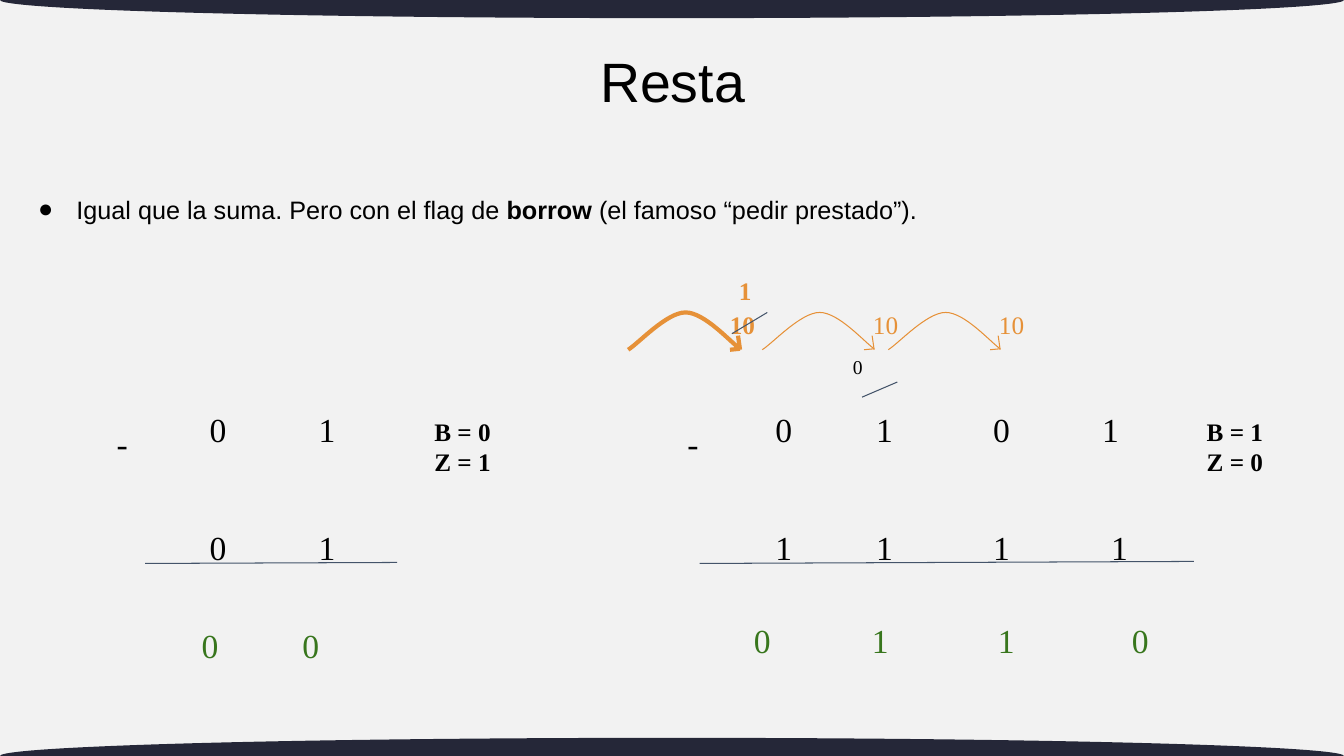
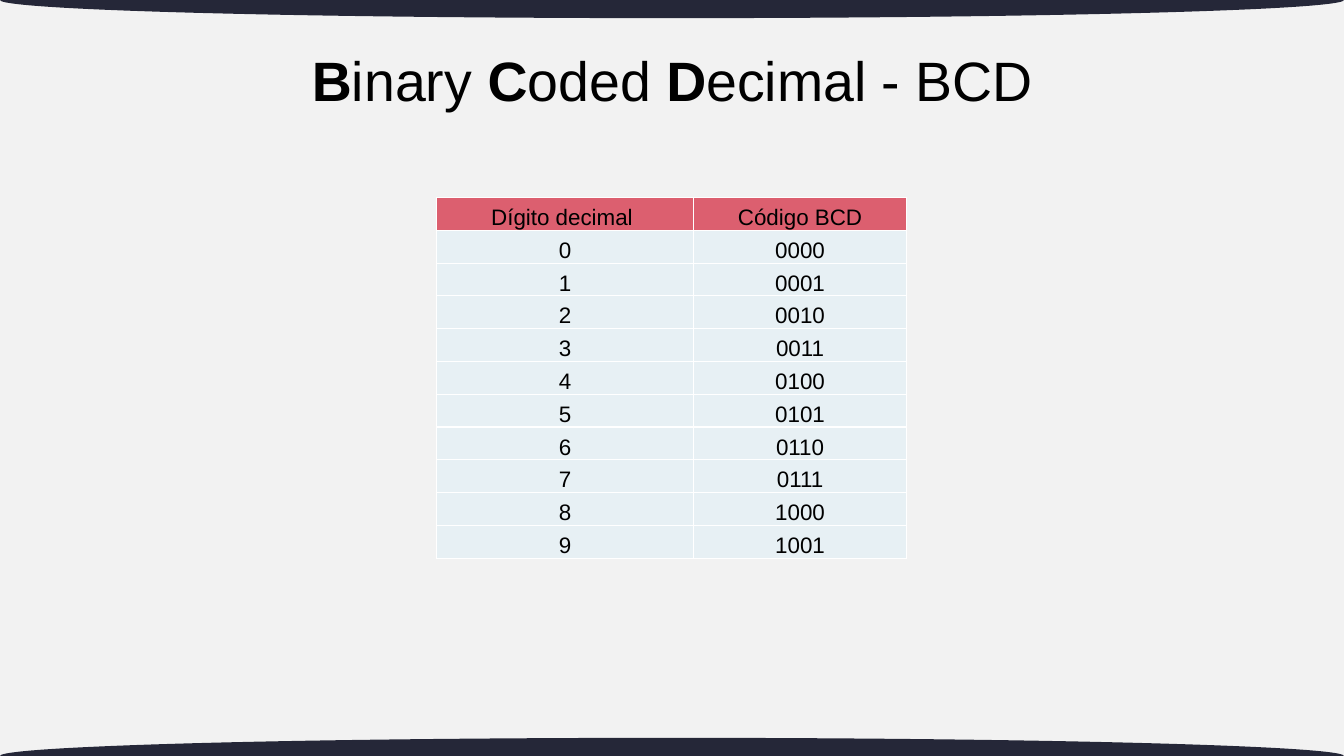
from lxml import etree
from pptx import Presentation
from pptx.dml.color import RGBColor
from pptx.enum import shapes, text
from pptx.oxml import ns
from pptx.util import Inches, Pt

COLORS = {
    "background": "F2F2F2", "band": "252738", "text": "000000",
    "rule": "44546A", "borrow": "E69138", "result": "38761D",
    "header": "DC5F6F", "row": "E7F0F4", "border": "FFFFFF",
}
SANS, SERIF = "Arial", "Times New Roman"
WIDTH, HEIGHT = 13.33, 7.5
CENTER = text.PP_ALIGN.CENTER

# Arch of a borrow arrow: start point and two Bezier pieces
ARCH_START = (0, 0.37)
ARCH_CURVES = [
    [(0.1, 0.31), (0.38, 0), (0.57, 0)],
    [(0.76, 0), (1.02, 0.3), (1.11, 0.36)],
]
ARROW_HEAD = [((1.09, 0.23), (1.11, 0.37)), ((1.01, 0.37), (1.11, 0.36))]


def rgb(name):
    return RGBColor.from_string(COLORS[name])


def sub_element(parent, tag, **attributes):
    return etree.SubElement(parent, ns.qn(tag), attributes)


# Text
def add_run(paragraph, content, size, font=SERIF, color="text", bold=False):
    run = paragraph.add_run()
    run.text = content
    run.font.size = Pt(size)
    run.font.name = font
    run.font.bold = bold
    run.font.color.rgb = rgb(color)


def add_frame(parent, box, inset_y=0.1):
    shape = parent.shapes.add_textbox(*map(Inches, box))
    frame = shape.text_frame
    frame.word_wrap = True
    frame.margin_left = frame.margin_right = Inches(0.1)
    frame.margin_top = frame.margin_bottom = Inches(inset_y)
    return frame


def add_label(parent, box, lines, size, color="text", bold=False,
              align=None, spacing=None):
    frame = add_frame(parent, box)
    for index, line in enumerate(lines):
        paragraph = frame.add_paragraph() if index else frame.paragraphs[0]
        paragraph.alignment = align
        paragraph.line_spacing = spacing
        add_run(paragraph, line, size, color=color, bold=bold)


def add_heading(slide, box, runs, size, align=None, spacing=0.9):
    frame = add_frame(slide, box, inset_y=0.05)
    frame.vertical_anchor = text.MSO_ANCHOR.MIDDLE
    paragraph = frame.paragraphs[0]
    paragraph.alignment = align
    paragraph.line_spacing = spacing
    for content, bold in runs:
        add_run(paragraph, content, size, SANS, bold=bold)
    return paragraph


def add_title(slide, box, runs):
    add_heading(slide, box, runs, 39.6, CENTER)


def add_bullet(slide, box, runs):
    paragraph = add_heading(slide, box, runs, 18, spacing=1.5)
    properties = paragraph._p.get_or_add_pPr()
    properties.set("marL", str(Inches(0.5)))
    properties.set("indent", str(Inches(-0.38)))
    bullet_color = sub_element(properties, "a:buClr")
    sub_element(bullet_color, "a:srgbClr", val=COLORS["text"])
    sub_element(properties, "a:buFont", typeface=SANS)
    sub_element(properties, "a:buChar", char="●")


def add_digit_row(slide, box, digits, lefts, color="text"):
    """One line of digits, each starting at its own left edge."""
    frame = add_frame(slide, box)
    frame.margin_left = Inches(lefts[0] - box[0])
    paragraph = frame.paragraphs[0]
    tabs = sub_element(paragraph._p.get_or_add_pPr(), "a:tabLst")
    for left in lefts[1:]:
        sub_element(tabs, "a:tab", pos=str(Inches(left - lefts[0])), algn="l")
    paragraph.line_spacing = 2
    add_run(paragraph, "\t".join(digits), 24, color=color)


# Lines and arrows
def add_line(parent, start, end, color="rule", width=0.75):
    line = parent.shapes.add_connector(
        shapes.MSO_CONNECTOR.STRAIGHT, *map(Inches, (*start, *end)))
    line.line.color.rgb = rgb(color)
    line.line.width = Pt(width)
    sub_element(line._element.spPr, "a:effectLst")


def arch_points(steps=16):
    points, start = [ARCH_START], ARCH_START
    for first, second, end in ARCH_CURVES:
        for step in range(1, steps + 1):
            t = step / steps
            s = 1 - t
            points.append(tuple(
                s**3 * a + 3 * s * s * t * b + 3 * s * t * t * c + t**3 * d
                for a, b, c, d in zip(start, first, second, end)))
        start = end
    return points


def add_borrow_arrow(slide, left, top, width=0.75, label=None):
    group = slide.shapes.add_group_shape()

    def place(point):
        return left + point[0], top + point[1]

    points = [tuple(map(Inches, place(point))) for point in arch_points()]
    builder = group.shapes.build_freeform(*points[0])
    builder.add_line_segments(points[1:], close=False)
    arch = builder.convert_to_shape()
    arch.shadow.inherit = False
    arch.fill.background()
    arch.line.color.rgb = rgb("borrow")
    arch.line.width = Pt(width)
    for start, end in ARROW_HEAD:
        add_line(group, place(start), place(end), "borrow", width)
    if label:
        add_label(group, (left + 1, top - 0.13, 0.57, 0.4), [label], 18, "borrow")


# Table
def style_cell(cell, content, fill):
    cell.margin_left = cell.margin_right = cell.margin_top = Inches(0.01)
    cell.margin_bottom = 0
    cell.vertical_anchor = text.MSO_ANCHOR.BOTTOM
    properties = cell._tc.get_or_add_tcPr()
    for side in ("a:lnL", "a:lnR", "a:lnT", "a:lnB"):
        border = sub_element(properties, side, w=str(Pt(1)))
        border_fill = sub_element(border, "a:solidFill")
        sub_element(border_fill, "a:srgbClr", val=COLORS["border"])
    cell.fill.solid()
    cell.fill.fore_color.rgb = rgb(fill)
    paragraph = cell.text_frame.paragraphs[0]
    paragraph.alignment = CENTER
    add_run(paragraph, content, 16, SANS)


def add_code_table(slide, left, top, widths, height, rows):
    table = slide.shapes.add_table(
        len(rows), len(widths),
        *map(Inches, (left, top, sum(widths), height))).table
    table.first_row = table.horz_banding = False
    for column, width in zip(table.columns, widths):
        column.width = Inches(width)
    for row_index, row in enumerate(rows):
        for column_index, content in enumerate(row):
            style_cell(table.cell(row_index, column_index), content,
                       "row" if row_index else "header")


# Slides
def add_slide(presentation):
    slide = presentation.slides.add_slide(presentation.slide_layouts[6])
    for edge in (0, HEIGHT):
        band = slide.shapes.add_shape(
            shapes.MSO_SHAPE.OVAL,
            *map(Inches, (0, edge - 0.18, WIDTH, 0.36)))
        band.shadow.inherit = False
        band.fill.solid()
        band.fill.fore_color.rgb = rgb("band")
        band.line.fill.background()
    return slide


def add_flags(slide, left, borrow, zero):
    add_label(slide, (left, 4.03, 0.94, 0.75),
              [f"B = {borrow}", f"Z = {zero}"], 18, bold=True)


def build_subtraction(presentation):
    slide = add_slide(presentation)
    add_bullet(slide, (0.16, 1.53, 11.6, 0.94), [
        ("Igual que la suma. Pero con el flag de ", False),
        ("borrow ", True),
        ("(el famoso “pedir prestado”).", False)])
    add_title(slide, (3.43, 0.37, 6.48, 0.94), [("Resta", False)])

    for left in (1.06, 6.72):
        add_label(slide, (left, 4.1, 0.46, 0.6), ["-"], 24)

    # Subtraction without borrow
    for top in (3.56, 4.73):
        add_digit_row(slide, (1.51, top, 2.38, 0.65), "01", (2.08, 3.16))
    add_digit_row(slide, (1.82, 5.7, 1.77, 0.65), "00", (2, 3), "result")
    add_line(slide, (3.94, 5.58), (1.44, 5.59))
    add_flags(slide, 4.21, 0, 1)

    # Subtraction with borrow
    add_digit_row(slide, (7.32, 3.56, 4.16, 0.65), "0101",
                  (7.69, 8.69, 9.85, 10.93))
    add_digit_row(slide, (7.32, 4.73, 4.24, 0.65), "1111",
                  (7.69, 8.69, 9.85, 11.02))
    add_line(slide, (11.84, 5.57), (6.94, 5.59))
    for left, digit in zip((7.33, 8.5, 9.75, 11.08), "0110"):
        add_label(slide, (left, 5.65, 0.46, 0.65), [digit], 24, "result",
                  align=CENTER, spacing=2)
    add_flags(slide, 11.87, 1, 0)

    # Borrow marks
    add_borrow_arrow(slide, 6.23, 3.1, width=3)
    for left in (7.56, 8.81):
        add_borrow_arrow(slide, left, 3.1, label="10")
    add_label(slide, (7.14, 2.97, 0.57, 0.4), ["10"], 18, "borrow", bold=True)
    add_label(slide, (7.23, 2.63, 0.32, 0.4), ["1"], 18, "borrow", bold=True)
    add_label(slide, (8.36, 3.42, 0.32, 0.37), ["0"], 14)
    add_line(slide, (7.26, 3.31), (7.61, 3.1))
    add_line(slide, (8.55, 3.94), (8.9, 3.79))


def build_bcd(presentation):
    slide = add_slide(presentation)
    add_title(slide, (1.95, 0.36, 9.44, 0.94), [
        ("B", True), ("inary ", False), ("C", True), ("oded ", False),
        ("D", True), ("ecimal - BCD", False)])
    rows = [("Dígito decimal ", "Código BCD")]
    rows += [(str(digit), f"{digit:04b}") for digit in range(10)]
    add_code_table(slide, 4.33, 1.96, (2.55, 2.11), 3.58, rows)


def main():
    presentation = Presentation()
    presentation.slide_width = Inches(WIDTH)
    presentation.slide_height = Inches(HEIGHT)
    background = presentation.slide_master.background.fill
    background.solid()
    background.fore_color.rgb = rgb("background")
    build_subtraction(presentation)
    build_bcd(presentation)
    presentation.save("out.pptx")


if __name__ == "__main__":
    main()
